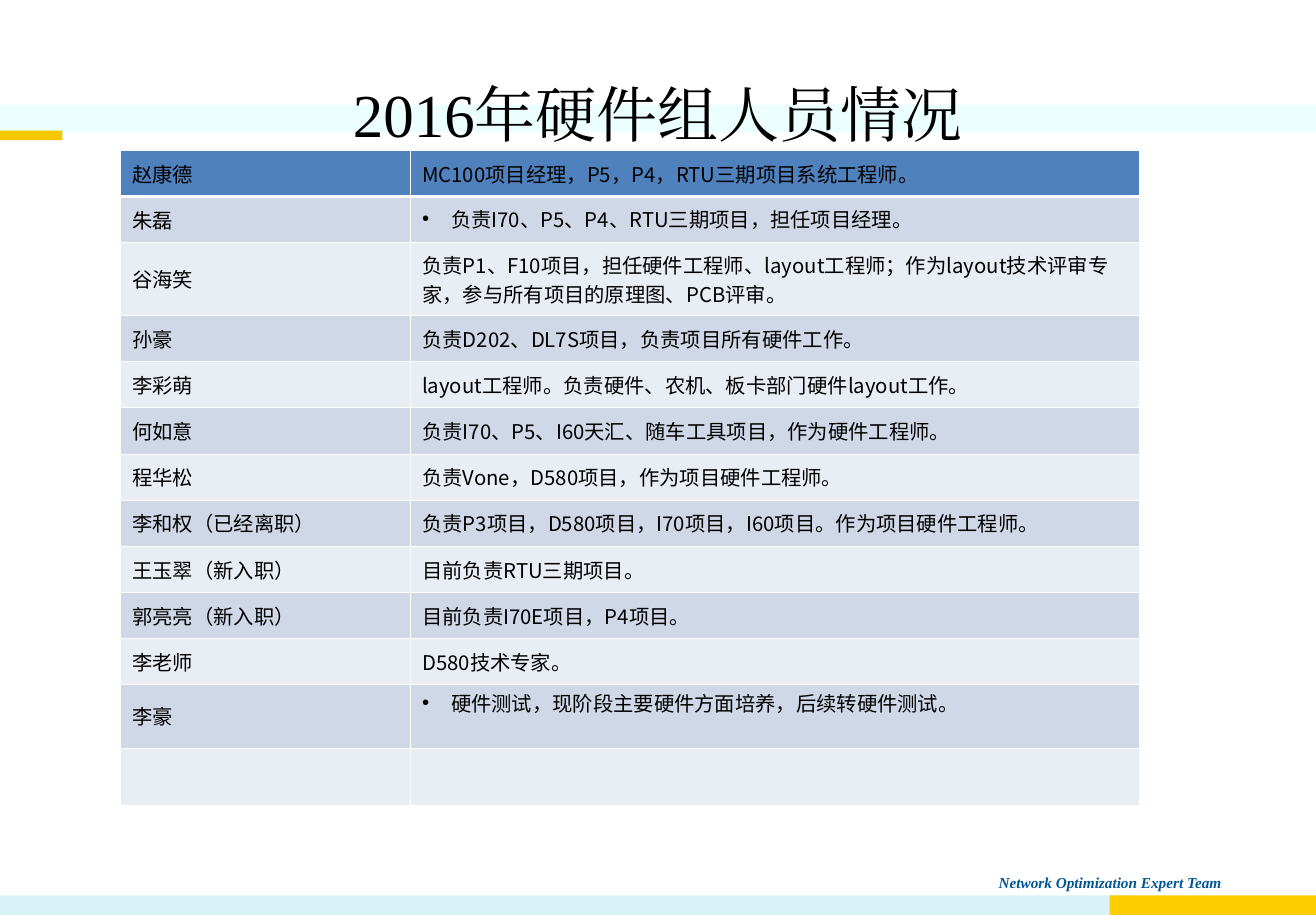
from lxml.etree import SubElement
from pptx import Presentation
from pptx.dml.color import RGBColor
from pptx.enum.shapes import MSO_SHAPE
from pptx.enum.text import MSO_ANCHOR, PP_ALIGN
from pptx.oxml.ns import qn
from pptx.util import Cm, Pt

SERIF, SANS = "Times New Roman", "Noto Sans CJK SC"
BULLET = "•"
TITLE = "2016年硬件组人员情况"
FOOTER = "Network Optimization Expert Team"
STAFF = [
    ("赵康德", "MC100项目经理，P5，P4，RTU三期项目系统工程师。"),
    ("朱磊", BULLET + "负责I70、P5、P4、RTU三期项目，担任项目经理。"),
    ("谷海笑", "负责P1、F10项目，担任硬件工程师、layout工程师；作为layout技术评审专家，参与所有项目的原理图、PCB评审。"),
    ("孙豪", "负责D202、DL7S项目，负责项目所有硬件工作。"),
    ("李彩萌", "layout工程师。负责硬件、农机、板卡部门硬件layout工作。"),
    ("何如意", "负责I70、P5、I60天汇、随车工具项目，作为硬件工程师。"),
    ("程华松", "负责Vone，D580项目，作为项目硬件工程师。"),
    ("李和权（已经离职）", "负责P3项目，D580项目，I70项目，I60项目。作为项目硬件工程师。"),
    ("王玉翠（新入职）", "目前负责RTU三期项目。"),
    ("郭亮亮（新入职）", "目前负责I70E项目，P4项目。"),
    ("李老师", "D580技术专家。"),
    ("李豪", BULLET + "硬件测试，现阶段主要硬件方面培养，后续转硬件测试。"),
    ("", ""),
]
COLUMNS = (6.04, 15.19)
ROW_HEIGHT = 0.96
TALL_ROWS = {2: 1.52, 11: 1.32, 12: 1.2}
TOP_ROW = 11
HEADER, BANDS = "4F81BD", ("E9EDF4", "D0D8E8")
BARS = [
    (0, 2.18, 27.41, 0.58, "EBFFFF"),
    (0, 18.64, 23.55, 0.41, "D9F2F7"),
    (23.11, 18.64, 4.3, 0.41, "FFCC00"),
    (0, 2.72, 1.3, 0.2, "F6C700"),
]


def rgb(color):
    return RGBColor.from_string(color)


def add_run(p, text, size, font, color="000000", bold=False, italic=False):
    r = p.add_run()
    r.text = text
    r.font.size, r.font.name = Pt(size), font
    r.font.bold, r.font.italic = bold, italic
    r.font.color.rgb = rgb(color)
    SubElement(r.font._element, qn("a:ea"), typeface=font)


def add_text(s, left, top, width, height, anchor):
    tf = s.shapes.add_textbox(Cm(left), Cm(top), Cm(width), Cm(height)).text_frame
    tf.word_wrap, tf.vertical_anchor = True, anchor
    return tf.paragraphs[0]


def set_bullet(p):
    p.line_spacing = 0.9
    pPr = p._p.get_or_add_pPr()
    pPr.set("marL", str(Cm(0.6)))
    pPr.set("indent", str(-Cm(0.6)))
    color = SubElement(pPr, qn("a:buClr"))
    SubElement(color, qn("a:srgbClr"), val="000000")
    SubElement(pPr, qn("a:buFont"), typeface="Arial")
    SubElement(pPr, qn("a:buChar"), char=BULLET)


def set_borders(cell, row):
    tcPr = cell._tc.get_or_add_tcPr()
    thick = {0: "lnB", 1: "lnT"}.get(row)
    for side in ("lnL", "lnR", "lnT", "lnB"):
        width = Pt(1.47 if side == thick else 0.45)
        ln = SubElement(tcPr, qn("a:" + side), w=str(width))
        fill = SubElement(ln, qn("a:solidFill"))
        SubElement(fill, qn("a:srgbClr"), val="FFFFFF")


def fill_cell(cell, row, text):
    set_borders(cell, row)
    cell.fill.solid()
    cell.fill.fore_color.rgb = rgb(BANDS[row % 2] if row else HEADER)
    cell.vertical_anchor = MSO_ANCHOR.MIDDLE
    if not text:
        return
    p = cell.text_frame.paragraphs[0]
    p.space_before = Pt(3)
    if text.startswith(BULLET):
        set_bullet(p)
        if row == TOP_ROW:
            cell.vertical_anchor = MSO_ANCHOR.TOP
    add_run(p, text.removeprefix(BULLET), 12, SANS)


def main():
    prs = Presentation()
    prs.slide_width, prs.slide_height = Cm(27.41), Cm(19.05)
    s = prs.slides.add_slide(prs.slide_layouts[6])

    p = add_text(s, 20.55, 18.06, 6.8, 0.6, MSO_ANCHOR.TOP)
    add_run(p, FOOTER, 9, SERIF, "005696", True, True)

    for *box, color in BARS:
        sp = s.shapes.add_shape(MSO_SHAPE.RECTANGLE, *map(Cm, box))
        sp.shadow.inherit = False
        sp.fill.solid()
        sp.fill.fore_color.rgb = rgb(color)
        sp.line.fill.background()

    p = add_text(s, 1.37, 0.76, 24.66, 3.18, MSO_ANCHOR.MIDDLE)
    p.alignment = PP_ALIGN.CENTER
    add_run(p, TITLE, 36, SERIF)

    heights = [TALL_ROWS.get(i, ROW_HEIGHT) for i in range(len(STAFF))]
    table = s.shapes.add_table(len(STAFF), len(COLUMNS), Cm(2.5), Cm(3.13),
                               Cm(sum(COLUMNS)), Cm(sum(heights))).table
    table.first_row = table.horz_banding = False
    for column, width in zip(table.columns, COLUMNS):
        column.width = Cm(width)
    for i, (height, texts) in enumerate(zip(heights, STAFF)):
        table.rows[i].height = Cm(height)
        for j, text in enumerate(texts):
            fill_cell(table.cell(i, j), i, text)

    prs.save("out.pptx")


if __name__ == "__main__":
    main()
